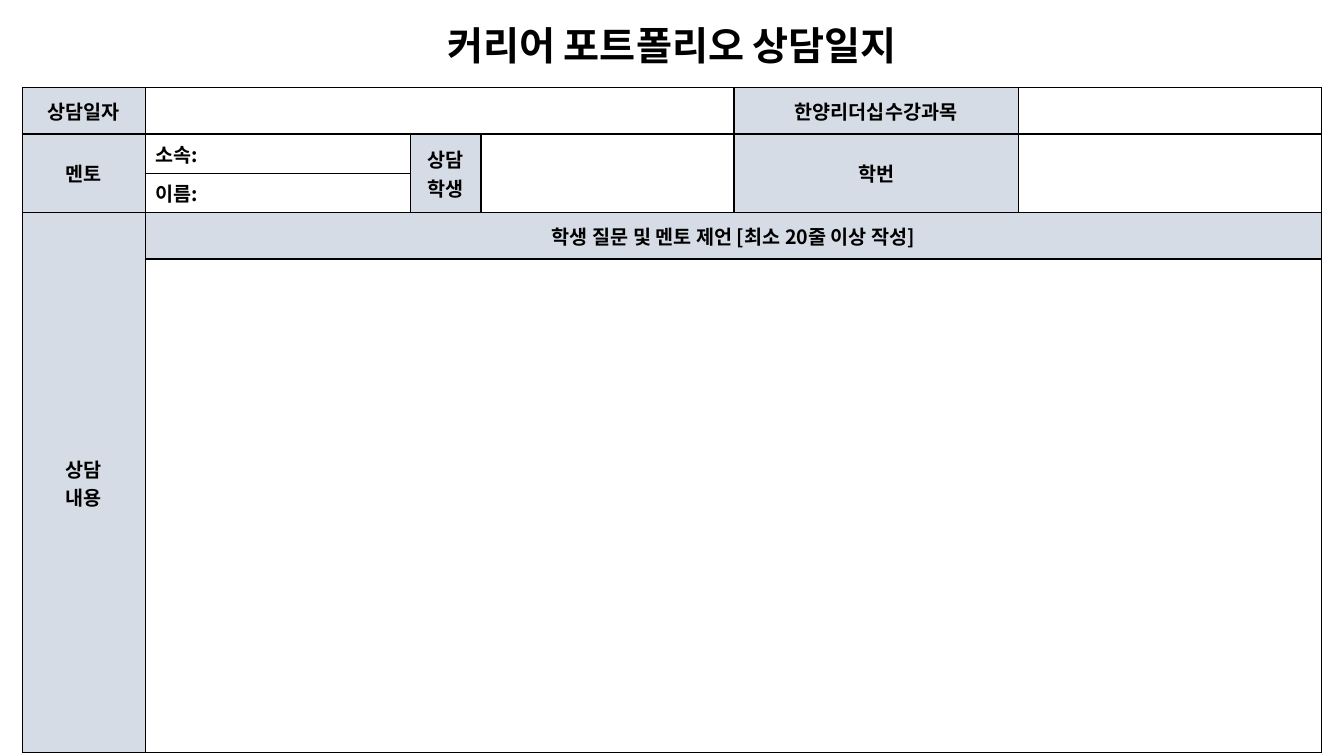
import dataclasses

import lxml.etree
import pptx
import pptx.dml.color
import pptx.enum.text
import pptx.oxml.ns
import pptx.util

Inches = pptx.util.Inches
Pt = pptx.util.Pt
ALIGN = pptx.enum.text.PP_ALIGN
ANCHOR = pptx.enum.text.MSO_ANCHOR
qn = pptx.oxml.ns.qn

FONT = "Noto Sans CJK KR"
COLORS = {"ink": "000000", "label": "D6DCE5"}
LEFT, WIDTH = 0.22, 12.89
COLS = [1.22, 2.63, 0.7, 2.51, 2.82, 3.01]
ROWS = [0.46, 0.39, 0.39, 0.46, 4.9]


@dataclasses.dataclass
class Field:
    row: int
    col: int
    lines: tuple[str, ...] = ()
    rows: int = 1
    cols: int = 1
    label: bool = True


FIELDS = [
    Field(0, 0, ("상담일자",)),
    Field(0, 1, cols=3, label=False),
    Field(0, 4, ("한양리더십수강과목",)),
    Field(1, 0, ("멘토",), rows=2),
    Field(1, 1, ("소속:",), label=False),
    Field(2, 1, ("이름:",), label=False),
    Field(1, 2, ("상담학생",), rows=2),
    Field(1, 3, rows=2, label=False),
    Field(1, 4, ("학번",), rows=2),
    Field(1, 5, rows=2, label=False),
    Field(3, 0, ("상담", "내용"), rows=2),
    Field(3, 1, ("학생 질문 및 멘토 제언 [최소 20줄 이상 작성]",), cols=5),
    Field(4, 1, cols=5, label=False),
]


def rgb(name: str) -> pptx.dml.color.RGBColor:
    return pptx.dml.color.RGBColor.from_string(COLORS[name])


def add_text(para, text: str, size: int, align) -> None:
    para.alignment = align
    run = para.add_run()
    run.text = text
    font = run.font
    font.size = Pt(size)
    font.bold = True
    font.name = FONT
    font.color.rgb = rgb("ink")
    east = lxml.etree.SubElement(run._r.get_or_add_rPr(), qn("a:ea"))
    east.set("typeface", FONT)


def add_lines(cell) -> None:
    """Put a thin line on all four sides of a cell."""
    props = cell._tc.get_or_add_tcPr()
    for place, side in enumerate("LRTB"):
        line = lxml.etree.Element(qn(f"a:ln{side}"), w=str(Pt(1)))
        fill = lxml.etree.SubElement(line, qn("a:solidFill"))
        lxml.etree.SubElement(fill, qn("a:srgbClr"), val=COLORS["ink"])
        props.insert(place, line)


def fill_field(table, field: Field) -> None:
    cell = table.cell(field.row, field.col)
    if field.rows > 1 or field.cols > 1:
        cell.merge(table.cell(field.row + field.rows - 1,
                              field.col + field.cols - 1))
    cell.vertical_anchor = ANCHOR.MIDDLE
    if field.label:
        cell.fill.solid()
        cell.fill.fore_color.rgb = rgb("label")
    frame = cell.text_frame
    for i, text in enumerate(field.lines):
        para = frame.add_paragraph() if i else frame.paragraphs[0]
        add_text(para, text, 14, ALIGN.CENTER if field.label else ALIGN.LEFT)


def add_form(slide) -> None:
    table = slide.shapes.add_table(
        len(ROWS), len(COLS), Inches(LEFT), Inches(0.87),
        Inches(WIDTH), Inches(sum(ROWS))).table
    table.first_row = table.horz_banding = False
    for col, width in zip(table.columns, COLS):
        col.width = Inches(width)
    for row, height in zip(table.rows, ROWS):
        row.height = Inches(height)
    for cell in table.iter_cells():
        cell.fill.background()
        add_lines(cell)
    for field in FIELDS:
        fill_field(table, field)


def add_title(slide) -> None:
    title = slide.shapes.title
    title.left, title.top = Inches(LEFT), Inches(0.2)
    title.width, title.height = Inches(WIDTH), Inches(0.55)
    frame = title.text_frame
    frame.word_wrap = True
    frame.auto_size = pptx.enum.text.MSO_AUTO_SIZE.NONE
    frame.vertical_anchor = ANCHOR.MIDDLE
    para = frame.paragraphs[0]
    para.line_spacing = 0.9
    add_text(para, "커리어 포트폴리오 상담일지", 28, ALIGN.CENTER)


def main() -> None:
    deck = pptx.Presentation()
    deck.slide_width, deck.slide_height = Inches(13.33), Inches(7.5)
    slide = deck.slides.add_slide(deck.slide_layouts[5])
    add_form(slide)
    add_title(slide)
    deck.save("out.pptx")


if __name__ == "__main__":
    main()
